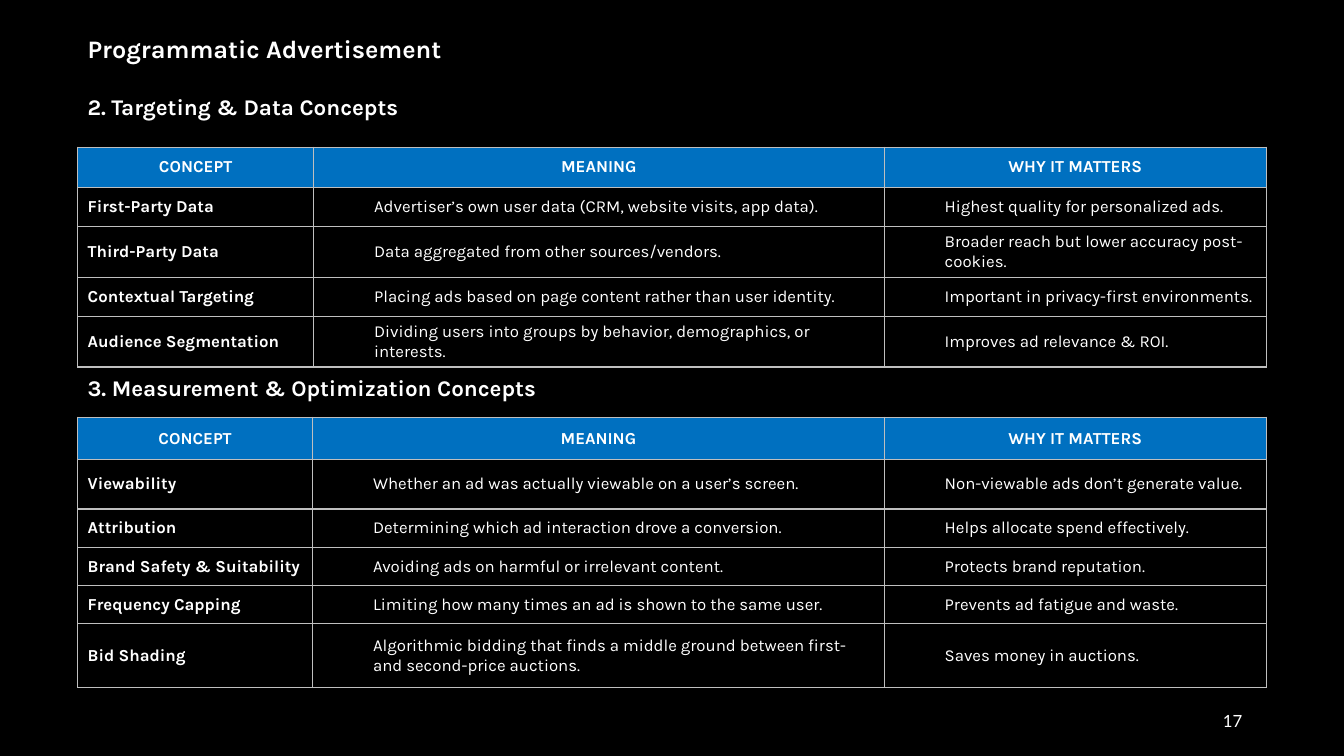
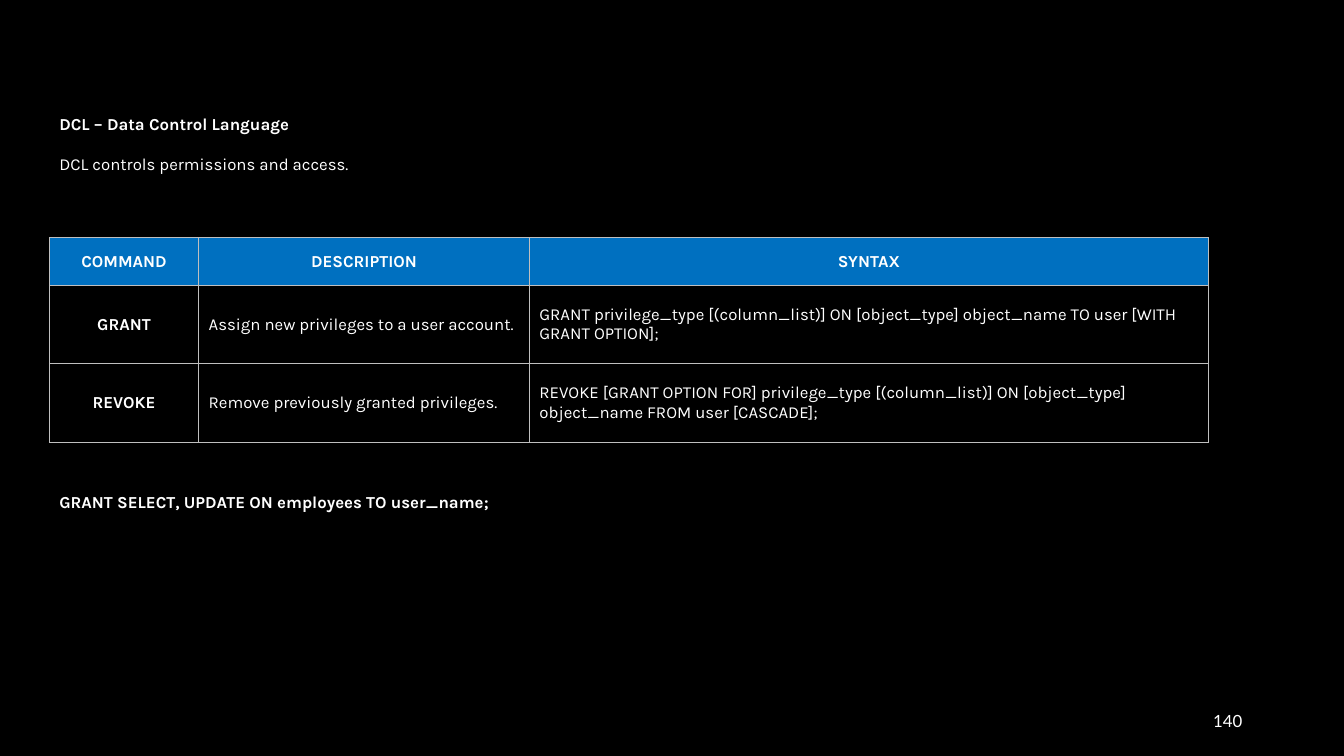
"""Build two dark slides of concept and command tables."""
from lxml import etree
from pptx import Presentation
from pptx.dml.color import RGBColor
from pptx.enum.text import MSO_ANCHOR, PP_ALIGN
from pptx.oxml.ns import qn
from pptx.util import Inches, Pt

LEFT, CENTER, RIGHT = PP_ALIGN.LEFT, PP_ALIGN.CENTER, PP_ALIGN.RIGHT
MIDDLE = MSO_ANCHOR.MIDDLE
BLACK = RGBColor(0x00, 0x00, 0x00)
WHITE = RGBColor(0xFF, 0xFF, 0xFF)
BLUE = RGBColor(0x00, 0x70, 0xC0)
GRAY = RGBColor(0xBF, 0xBF, 0xBF)
FONT, NUMBER_FONT = "Karla", "Lato"
BODY = 12
CONCEPT_HEADER = ("CONCEPT", "MEANING", "WHY IT MATTERS")


class Deck:
    """Holds the shared style and the current slide."""

    def __init__(self):
        """Start a widescreen presentation."""
        self.prs = Presentation()
        self.prs.slide_width = Inches(13.33)
        self.prs.slide_height = Inches(7.5)
        self.s = None

    def slide(self, number):
        """Add a black slide with its page number."""
        self.s = self.prs.slides.add_slide(self.prs.slide_layouts[6])
        fill = self.s.background.fill
        fill.solid()
        fill.fore_color.rgb = BLACK
        self.text(9.42, 6.95, 3, 0.4, [(str(number), BODY, False, 0)], RIGHT, NUMBER_FONT)

    def add_text_run(self, p, text, size, bold, align=LEFT, font=FONT):
        """Add one white run to a paragraph."""
        p.alignment = align
        r = p.add_run()
        r.text = text
        r.font.name = font
        r.font.size = Pt(size)
        r.font.bold = bold
        r.font.color.rgb = WHITE

    def text(self, x, y, w, h, lines, align=LEFT, font=FONT):
        """Add a text box from (text, size, bold, space before) lines."""
        box = self.s.shapes.add_textbox(Inches(x), Inches(y), Inches(w), Inches(h))
        tf = box.text_frame
        tf.word_wrap = True
        tf.vertical_anchor = MIDDLE
        for i, (text, size, bold, before) in enumerate(lines):
            p = tf.add_paragraph() if i else tf.paragraphs[0]
            if before:
                p.space_before = Pt(before)
            self.add_text_run(p, text, size, bold, align, font)

    def border(self, cell):
        """Draw a thin gray line on each side of a cell."""
        tc_pr = cell._tc.get_or_add_tcPr()
        for i, side in enumerate(("a:lnL", "a:lnR", "a:lnT", "a:lnB")):
            ln = etree.Element(qn(side), w=str(Pt(1)))
            fill = etree.SubElement(ln, qn("a:solidFill"))
            etree.SubElement(fill, qn("a:srgbClr"), val=str(GRAY))
            tc_pr.insert(i, ln)

    def table(self, x, y, widths, heights, rows, label_align=LEFT, indent=0):
        """Add a bordered table with a blue header and bold row labels."""
        frame = self.s.shapes.add_table(
            len(rows), len(widths), Inches(x), Inches(y),
            Inches(sum(widths)), Inches(sum(heights)))
        table = frame.table
        table.first_row = table.horz_banding = False
        for column, width in zip(table.columns, widths):
            column.width = Inches(width)
        for i, (height, row) in enumerate(zip(heights, rows)):
            table.rows[i].height = Inches(height)
            for j, text in enumerate(row):
                cell = table.cell(i, j)
                cell.vertical_anchor = MIDDLE
                header, label = i == 0, j == 0
                if header:
                    cell.fill.solid()
                    cell.fill.fore_color.rgb = BLUE
                else:
                    cell.fill.background()
                self.border(cell)
                p = cell.text_frame.paragraphs[0]
                if indent and not (header or label):
                    p_pr = p._p.get_or_add_pPr()
                    p_pr.set("marL", str(Inches(indent)))
                    p_pr.set("indent", "0")
                align = CENTER if header else label_align if label else LEFT
                self.add_text_run(p, text, BODY, header or label, align)


def targeting(deck):
    """Build the advertising concepts slide."""
    deck.slide(17)
    deck.text(0.77, 0.33, 11.79, 0.86, [
        ("Programmatic Advertisement", 18, True, 0),
        ("2. Targeting & Data Concepts", 16, True, 21),
    ])
    deck.table(0.77, 1.46, (2.34, 5.66, 3.79), (0.4, 0.39, 0.49, 0.39, 0.49), [
        CONCEPT_HEADER,
        ("First-Party Data",
         "Advertiser’s own user data (CRM, website visits, app data).",
         "Highest quality for personalized ads."),
        ("Third-Party Data",
         "Data aggregated from other sources/vendors.",
         "Broader reach but lower accuracy post-cookies."),
        ("Contextual Targeting",
         "Placing ads based on page content rather than user identity.",
         "Important in privacy-first environments."),
        ("Audience Segmentation",
         "Dividing users into groups by behavior, demographics, or interests.",
         "Improves ad relevance & ROI."),
    ], indent=0.5)
    deck.text(0.77, 3.64, 11.79, 0.4,
              [("3. Measurement & Optimization Concepts", 16, True, 0)])
    deck.table(0.77, 4.14, (2.33, 5.67, 3.79), (0.42, 0.49, 0.38, 0.38, 0.38, 0.63), [
        CONCEPT_HEADER,
        ("Viewability",
         "Whether an ad was actually viewable on a user’s screen.",
         "Non-viewable ads don’t generate value."),
        ("Attribution",
         "Determining which ad interaction drove a conversion.",
         "Helps allocate spend effectively."),
        ("Brand Safety & Suitability",
         "Avoiding ads on harmful or irrelevant content.",
         "Protects brand reputation."),
        ("Frequency Capping",
         "Limiting how many times an ad is shown to the same user.",
         "Prevents ad fatigue and waste."),
        ("Bid Shading",
         "Algorithmic bidding that finds a middle ground between first- "
         "and second-price auctions.",
         "Saves money in auctions."),
    ], indent=0.5)


def data_control(deck):
    """Build the data control language slide."""
    deck.slide(140)
    deck.text(0.49, 0.98, 6.86, 0.9, [
        ("DCL – Data Control Language", BODY, True, 0),
        ("DCL controls permissions and access.", BODY, False, 14),
    ])
    deck.text(0.49, 4.63, 6.86, 0.69,
              [("GRANT SELECT, UPDATE ON employees TO user_name;", BODY, True, 0)])
    deck.table(0.49, 2.36, (1.48, 3.28, 6.74), (0.47, 0.78, 0.78), [
        ("COMMAND", "DESCRIPTION", "SYNTAX"),
        ("GRANT",
         "Assign new privileges to a user account.",
         "GRANT privilege_type [(column_list)] ON [object_type] object_name "
         "TO user [WITH GRANT OPTION];"),
        ("REVOKE",
         "Remove previously granted privileges.",
         "REVOKE [GRANT OPTION FOR] privilege_type [(column_list)] "
         "ON [object_type] object_name FROM user [CASCADE];"),
    ], label_align=CENTER)


def main():
    """Build and save the deck."""
    deck = Deck()
    targeting(deck)
    data_control(deck)
    deck.prs.save("out.pptx")


if __name__ == "__main__":
    main()
